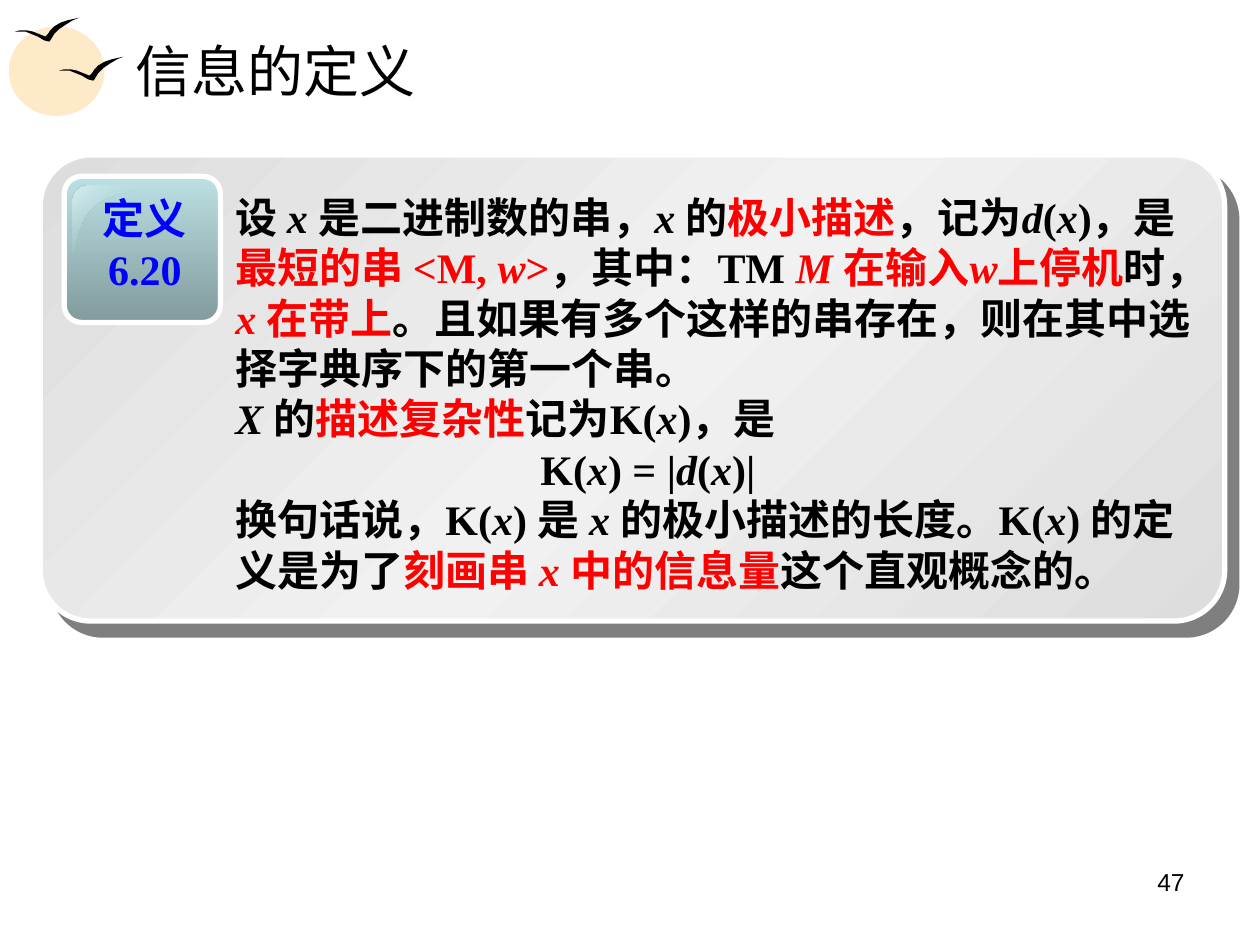
from typing import NamedTuple

import pptx
import pptx.dml.color
import pptx.enum.shapes
import pptx.enum.text
import pptx.oxml
import pptx.oxml.ns
import pptx.util
from pptx.util import Inches

RGBColor = pptx.dml.color.RGBColor
ALIGN = pptx.enum.text.PP_ALIGN
ANCHOR = pptx.enum.text.MSO_ANCHOR
SHAPE = pptx.enum.shapes.MSO_SHAPE

BLACK = RGBColor(0x00, 0x00, 0x00)
WHITE = RGBColor(0xFF, 0xFF, 0xFF)
RED = RGBColor(0xFF, 0x00, 0x00)
BLUE = RGBColor(0x00, 0x00, 0xFF)
SUN = RGBColor(0xFE, 0xE9, 0xC8)
GREY = RGBColor(0xDD, 0xDD, 0xDD)
PALE_GREY = RGBColor(0xF1, 0xF1, 0xF1)
TEAL = RGBColor(0xBB, 0xE0, 0xE3)
DARK_TEAL = RGBColor(0x82, 0x9B, 0x9D)
PALE_TEAL = RGBColor(0xD9, 0xED, 0xEE)

SERIF = "Times New Roman"


class Area(NamedTuple):
    left: float
    top: float
    width: float
    height: float


class Stop(NamedTuple):
    percent: int
    color: RGBColor
    alpha: int = 100


class Span(NamedTuple):
    text: str
    color: RGBColor = BLACK
    italic: bool = False


class Line(NamedTuple):
    spans: list[Span]
    indent: float = 0


class Style(NamedTuple):
    size: int
    font: str = SERIF
    bold: bool = False
    align: ALIGN = ALIGN.LEFT
    anchor: ANCHOR = ANCHOR.TOP


def var(name: str, color: RGBColor = BLACK) -> Span:
    """An italic variable name."""
    return Span(name, color, True)


def add_shape(page, kind: SHAPE, area: Area, corner: float | None = None):
    shape = page.shapes.add_shape(kind, *map(Inches, area))
    shape.shadow.inherit = False
    shape.line.fill.background()
    if corner is not None:
        shape.adjustments[0] = corner
        shape.line.color.rgb = WHITE
        shape.line.width = pptx.util.Pt(3)
    return shape


def add_outline(page, points: list[tuple[float, float]]):
    lengths = [(Inches(x), Inches(y)) for x, y in points]
    builder = page.shapes.build_freeform(*lengths[0])
    builder.add_line_segments(lengths[1:], close=True)
    shape = builder.convert_to_shape()
    shape.shadow.inherit = False
    shape.line.fill.background()
    return shape


def fill_solid(shape, color: RGBColor) -> None:
    shape.fill.solid()
    shape.fill.fore_color.rgb = color


def fill_gradient(shape, stops: list[Stop], angle: int) -> None:
    shape.fill.gradient()
    old = shape._element.spPr.find(pptx.oxml.ns.qn("a:gradFill"))
    marks = "".join(
        f'<a:gs pos="{stop.percent * 1000}"><a:srgbClr val="{stop.color}">'
        f'<a:alpha val="{stop.alpha * 1000}"/></a:srgbClr></a:gs>'
        for stop in stops
    )
    new = pptx.oxml.parse_xml(
        f'<a:gradFill {pptx.oxml.ns.nsdecls("a")} rotWithShape="1"><a:gsLst>{marks}</a:gsLst>'
        f'<a:lin ang="{angle * 60000}" scaled="0"/></a:gradFill>'
    )
    old.getparent().replace(old, new)


def add_shadow(shape, distance: float, angle: int) -> None:
    effects = shape._element.spPr.find(pptx.oxml.ns.qn("a:effectLst"))
    effects.append(pptx.oxml.parse_xml(
        f'<a:outerShdw {pptx.oxml.ns.nsdecls("a")} dist="{pptx.util.Pt(distance)}" '
        f'dir="{angle * 60000}" algn="ctr" rotWithShape="0"><a:srgbClr val="{BLACK}">'
        '<a:alpha val="50000"/></a:srgbClr></a:outerShdw>'
    ))


def add_text(page, area: Area, lines: list[Line], style: Style) -> None:
    frame = page.shapes.add_textbox(*map(Inches, area)).text_frame
    frame.word_wrap = True
    frame.vertical_anchor = style.anchor
    for index, line in enumerate(lines):
        para = frame.add_paragraph() if index else frame.paragraphs[0]
        para.alignment = style.align
        if line.indent:
            para._p.get_or_add_pPr().set("marL", str(Inches(line.indent)))
        for span in line.spans:
            run = para.add_run()
            run.text = span.text
            run.font.name = style.font
            run.font.size = pptx.util.Pt(style.size)
            run.font.bold = style.bold
            run.font.italic = span.italic
            run.font.color.rgb = span.color


def curve(start, first, second, end, steps: int = 12) -> list[tuple[float, float]]:
    """Points along a cubic curve, without its start."""
    points = []
    for step in range(1, steps + 1):
        t = step / steps
        weights = ((1 - t) ** 3, 3 * t * (1 - t) ** 2, 3 * t * t * (1 - t), t ** 3)
        corners = (start, first, second, end)
        points.append(tuple(sum(w * c[axis] for w, c in zip(weights, corners)) for axis in (0, 1)))
    return points


BIRD = [
    (0, 0.11), (0.04, 0.1), (0.09, 0.1), (0.14, 0.11), (0.19, 0.13), (0.24, 0.15),
    (0.26, 0.13), (0.28, 0.1), (0.31, 0.07), (0.36, 0.04), (0.42, 0.02), (0.51, 0),
    (0.46, 0.02), (0.41, 0.05), (0.35, 0.09), (0.31, 0.13), (0.28, 0.18), (0.27, 0.19),
    (0.23, 0.18), (0.18, 0.15), (0.13, 0.13), (0.08, 0.11), (0.03, 0.11),
]

DEFINITION = [
    Line([
        Span("设 "), var("x "), Span("是二进制数的串，"), var("x "), Span("的"),
        Span("极小描述", RED), Span("，记为"), var("d"), Span("("), var("x"), Span(")，是"),
        Span("最短的串 <M, ", RED), var("w", RED), Span(">", RED), Span("，其中：TM "),
        var("M ", RED), Span("在输入", RED), var("w", RED), Span("上停机", RED), Span("时，"),
        var("x ", RED), Span("在带上", RED),
        Span("。且如果有多个这样的串存在，则在其中选择字典序下的第一个串。"),
    ]),
    Line([
        var("X "), Span("的"), Span("描述复杂性", RED), Span("记为K("), var("x"), Span(")，是"),
    ]),
    Line([
        Span("K("), var("x"), Span(") = |"), var("d"), Span("("), var("x"), Span(")|"),
    ], indent=2.42),
    Line([
        Span("换句话说，K("), var("x"), Span(") 是 "), var("x "), Span("的极小描述的长度。K("),
        var("x"), Span(") 的定义是为了"), Span("刻画串 ", RED), var("x ", RED),
        Span("中的信息量", RED), Span("这个直观概念的。"),
    ]),
]


def main() -> None:
    deck = pptx.Presentation()
    deck.slide_width, deck.slide_height = Inches(10), Inches(7.5)
    page = deck.slides.add_slide(deck.slide_layouts[6])

    # Sun and birds
    fill_solid(add_shape(page, SHAPE.OVAL, Area(0.07, 0.21, 0.76, 0.71)), SUN)
    for left, top in ((0.47, 0.45), (0.12, 0.14)):
        fill_solid(add_outline(page, [(left + x, top + y) for x, y in BIRD]), BLACK)

    # Definition panel
    panel = add_shape(page, SHAPE.ROUNDED_RECTANGLE, Area(0.32, 1.23, 9.4, 3.7), 0.109)
    fill_gradient(panel, [Stop(0, GREY), Stop(50, PALE_GREY), Stop(100, GREY)], 225)
    add_shadow(panel, 10.6, 49)

    # Number badge with its highlight
    badge = add_shape(page, SHAPE.ROUNDED_RECTANGLE, Area(0.51, 1.4, 1.24, 1.16), 0.119)
    fill_gradient(badge, [Stop(0, TEAL), Stop(100, DARK_TEAL)], 90)
    highlight = add_outline(page, [
        (0.71, 1.47),
        *curve((0.71, 1.47), (0.64, 1.47), (0.58, 1.52), (0.58, 1.59)),
        (0.58, 2.05),
        *curve((0.58, 2.05), (0.61, 2.05), (0.6, 1.77), (0.75, 1.64)),
        *curve((0.75, 1.64), (0.9, 1.51), (1.2, 1.5), (1.19, 1.47)),
    ])
    fill_gradient(highlight, [Stop(0, PALE_TEAL), Stop(50, TEAL, 0), Stop(100, PALE_TEAL)], 225)

    # Texts
    add_text(page, Area(0.68, 1.48, 0.94, 0.9),
             [Line([Span("定义", BLUE)]), Line([Span("6.20", BLUE)])],
             Style(24, bold=True, align=ALIGN.CENTER))
    add_text(page, Area(1.77, 1.47, 7.95, 3.3), DEFINITION, Style(24, bold=True))
    add_text(page, Area(0.98, 0.21, 8.53, 0.69), [Line([Span("信息的定义")])],
             Style(32, anchor=ANCHOR.MIDDLE))
    add_text(page, Area(7.17, 6.83, 2.33, 0.52), [Line([Span("47")])],
             Style(14, "Arial", align=ALIGN.RIGHT))

    deck.save("out.pptx")


if __name__ == "__main__":
    main()
